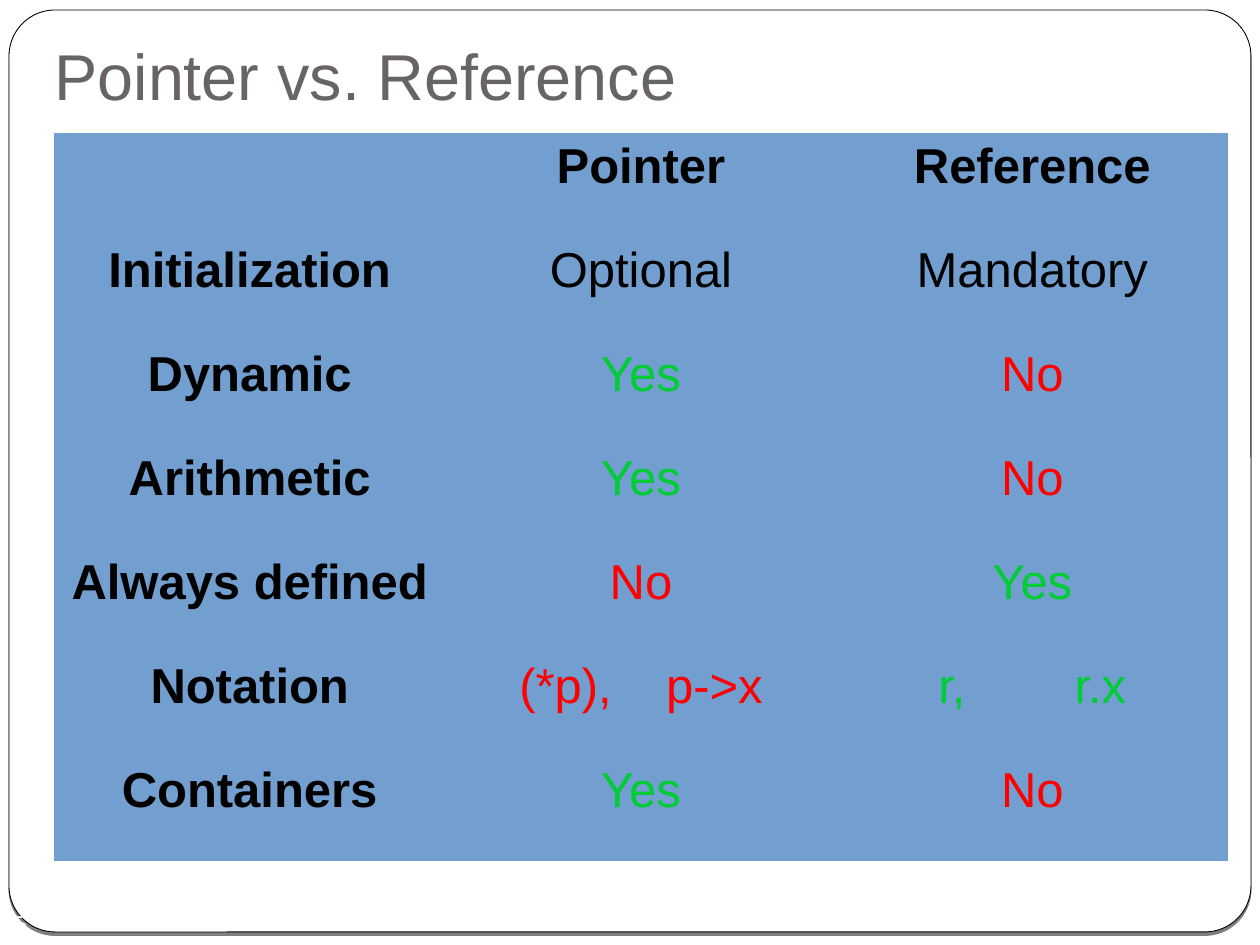
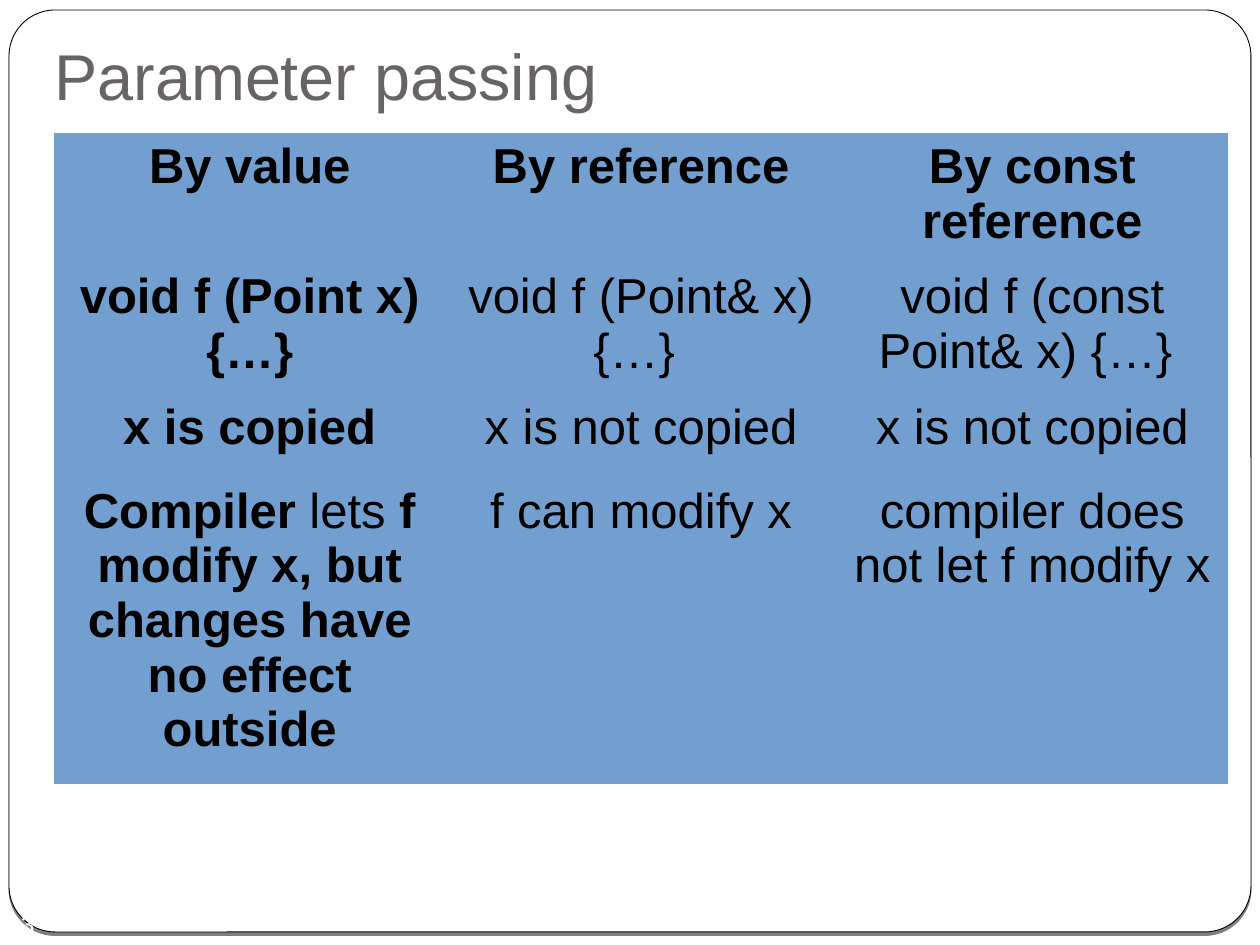
import pptx
import pptx.dml.color
import pptx.enum.shapes
import pptx.enum.text
import pptx.oxml
import pptx.oxml.ns
import pptx.util

RGBColor = pptx.dml.color.RGBColor
PP_ALIGN = pptx.enum.text.PP_ALIGN
MSO_ANCHOR = pptx.enum.text.MSO_ANCHOR
MSO_SHAPE = pptx.enum.shapes.MSO_SHAPE

WHITE = RGBColor(0xFF, 0xFF, 0xFF)
BLACK = RGBColor(0x00, 0x00, 0x00)
TITLE_GREY = RGBColor(0x69, 0x64, 0x64)
CELL_BLUE = RGBColor(0x72, 0x9F, 0xCF)
GREEN = RGBColor(0x00, 0xCC, 0x33)
RED = RGBColor(0xFF, 0x00, 0x00)

# A cell is a string, or a list of (text, run format) pairs.
# The format key "spacing" is extra letter spacing in points.
YES = [("Yes", {"color": GREEN})]
NO = [("No", {"color": RED})]
POINTER_NOTATION = [("(*p),", {"color": RED}), (" ", {"spacing": 23.3}), ("p->x", {"color": RED})]
REFERENCE_NOTATION = [("r,", {"color": GREEN}), (" ", {"spacing": 54.5}), ("r.x", {"color": GREEN})]
VALUE_EFFECT = [
    ("Compiler ", {}),
    ("lets", {"bold": False}),
    (" f modify x, but changes have no effect outside", {}),
]

SLIDES = [
    {
        "title": "Pointer vs. Reference",
        "number": "5",
        "row_heights": [104] * 7,
        "rows": [
            ("", "Pointer", "Reference"),
            ("Initialization", "Optional", "Mandatory"),
            ("Dynamic", YES, NO),
            ("Arithmetic", YES, NO),
            ("Always defined", NO, YES),
            ("Notation", POINTER_NOTATION, REFERENCE_NOTATION),
            ("Containers", YES, NO),
        ],
    },
    {
        "title": "Parameter passing",
        "number": "13",
        "row_heights": [122, 122, 84, 285],
        "rows": [
            ("By value", "By reference", "By const reference"),
            ("void f (Point x) {…}", "void f (Point& x) {…} ", "void f (const Point& x) {…} "),
            ("x is copied", "x is not copied", "x is not copied"),
            (VALUE_EFFECT, "f can modify x", "compiler does not let f modify x"),
        ],
    },
]

FONT = "Arial"
SLIDE_SIZE = (1260, 945)
FRAME_BOX = (9, 10, 1242, 922)
TITLE_BOX = (42, 38, 1176, 88)
NUMBER_BOX = (0, 903, 42, 42)
TABLE_LEFT, TABLE_TOP, TABLE_WIDTH = 54, 133, 1174

NO_TABLE_STYLE = "{2D5ABB26-0587-4C30-8999-92F81FD0307C}"
FRAME_SHADOW = (
    f'<a:outerShdw {pptx.oxml.ns.nsdecls("a")} blurRad="0" dist="25400" dir="5400000" '
    'rotWithShape="0"><a:srgbClr val="000000"><a:alpha val="50000"/></a:srgbClr></a:outerShdw>'
)


def px(length):
    return pptx.util.Emu(round(length * 914400 / 126))


def box(lengths):
    return [px(length) for length in lengths]


def set_attributes(target, values):
    for name, value in values.items():
        setattr(target, name, value)


def add_run(paragraph, text, size, color, bold=False, spacing=None):
    run = paragraph.add_run()
    run.text = text
    set_attributes(run.font, {"name": FONT, "size": pptx.util.Pt(size), "bold": bold})
    run.font.color.rgb = color
    if spacing:
        run.font._element.set("spc", str(round(spacing * 100)))


def add_frame(layout, slide):
    """Draw the page and its rounded frame on the slide, then move both to the layout."""
    page = slide.shapes.add_shape(MSO_SHAPE.RECTANGLE, *box((0, 0, *SLIDE_SIZE)))
    frame = slide.shapes.add_shape(MSO_SHAPE.ROUNDED_RECTANGLE, *box(FRAME_BOX))
    frame.adjustments[0] = 0.05
    for index, shape in enumerate((page, frame)):
        shape.shadow.inherit = False
        shape.fill.solid()
        shape.fill.fore_color.rgb = WHITE
        layout.shapes._spTree.insert(2 + index, shape._element)
    page.line.fill.background()
    frame.line.color.rgb = BLACK
    frame.line.width = pptx.util.Pt(0.5)
    effects = frame._element.spPr.find(pptx.oxml.ns.qn("a:effectLst"))
    effects.append(pptx.oxml.parse_xml(FRAME_SHADOW))


def format_title(title, text):
    set_attributes(title, dict(zip(("left", "top", "width", "height"), box(TITLE_BOX))))
    set_attributes(title.text_frame, {
        "auto_size": pptx.enum.text.MSO_AUTO_SIZE.NONE,
        "vertical_anchor": MSO_ANCHOR.BOTTOM,
        "margin_bottom": pptx.util.Inches(0.1),
    })
    paragraph = title.text_frame.paragraphs[0]
    set_attributes(paragraph, {"alignment": PP_ALIGN.LEFT, "line_spacing": 0.8})
    add_run(paragraph, text, 37, TITLE_GREY)


def add_number(slide, number):
    text_frame = slide.shapes.add_textbox(*box(NUMBER_BOX)).text_frame
    set_attributes(text_frame, {
        "word_wrap": True,
        "vertical_anchor": MSO_ANCHOR.MIDDLE,
        **dict.fromkeys(("margin_left", "margin_top", "margin_right", "margin_bottom"), 0),
    })
    paragraph = text_frame.paragraphs[0]
    paragraph.alignment = PP_ALIGN.CENTER
    add_run(paragraph, number, 14, WHITE)


def add_comparison(slide, rows, row_heights):
    """Add the table; its first row and first column are bold."""
    table_box = box((TABLE_LEFT, TABLE_TOP, TABLE_WIDTH, sum(row_heights)))
    table = slide.shapes.add_table(len(rows), len(rows[0]), *table_box).table
    set_attributes(table, {"first_row": False, "horz_banding": False})
    table._tbl.tblPr.find(pptx.oxml.ns.qn("a:tableStyleId")).text = NO_TABLE_STYLE
    for row, height in zip(table.rows, row_heights):
        row.height = px(height)
    for row_index, row in enumerate(rows):
        for column_index, content in enumerate(row):
            cell = table.cell(row_index, column_index)
            cell.fill.solid()
            cell.fill.fore_color.rgb = CELL_BLUE
            paragraph = cell.text_frame.paragraphs[0]
            paragraph.alignment = PP_ALIGN.CENTER
            heading = row_index == 0 or column_index == 0
            runs = [(content, {})] if isinstance(content, str) else content
            for text, run_format in runs:
                if text:
                    add_run(paragraph, text, 28, **{"color": BLACK, "bold": heading, **run_format})


def main():
    presentation = pptx.Presentation()
    presentation.slide_width, presentation.slide_height = box(SLIDE_SIZE)
    layout = presentation.slide_layouts.get_by_name("Title Only")
    for index, content in enumerate(SLIDES):
        slide = presentation.slides.add_slide(layout)
        if index == 0:
            add_frame(layout, slide)
        format_title(slide.shapes.title, content["title"])
        add_number(slide, content["number"])
        add_comparison(slide, content["rows"], content["row_heights"])
    presentation.save("out.pptx")


if __name__ == "__main__":
    main()
